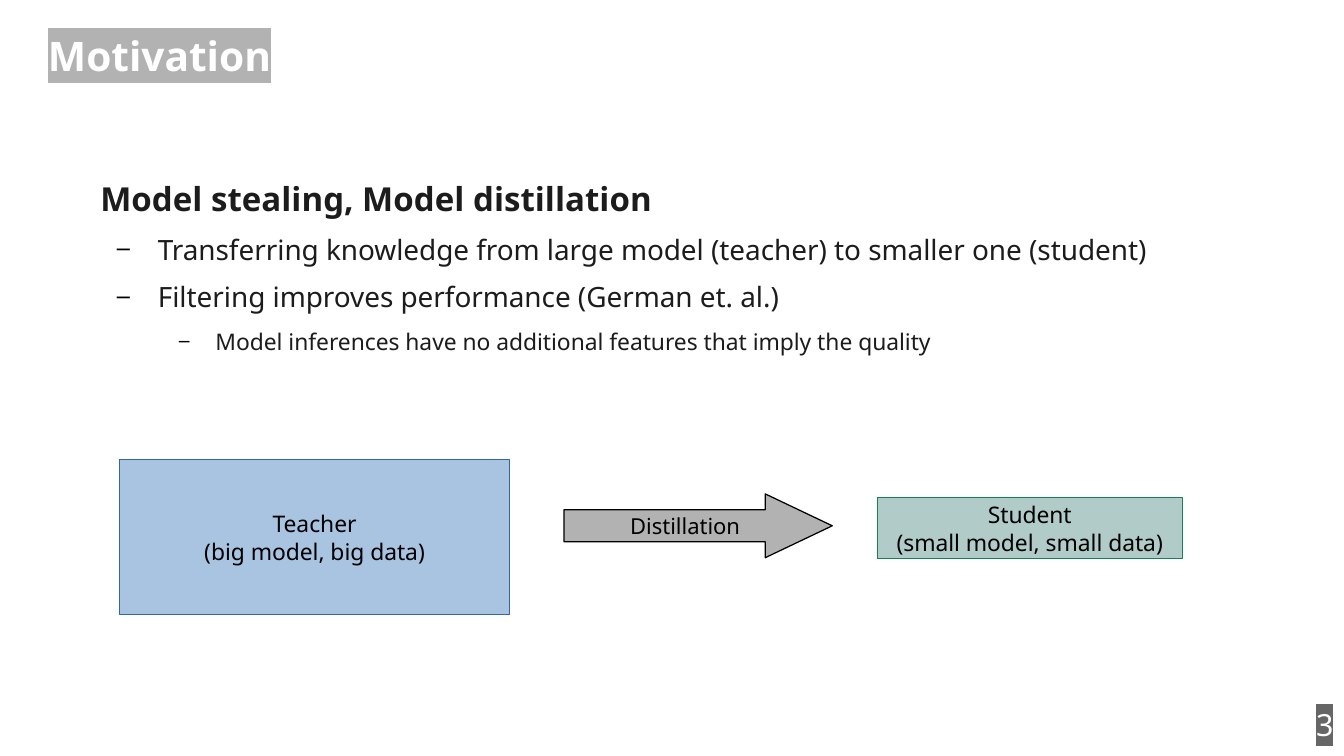
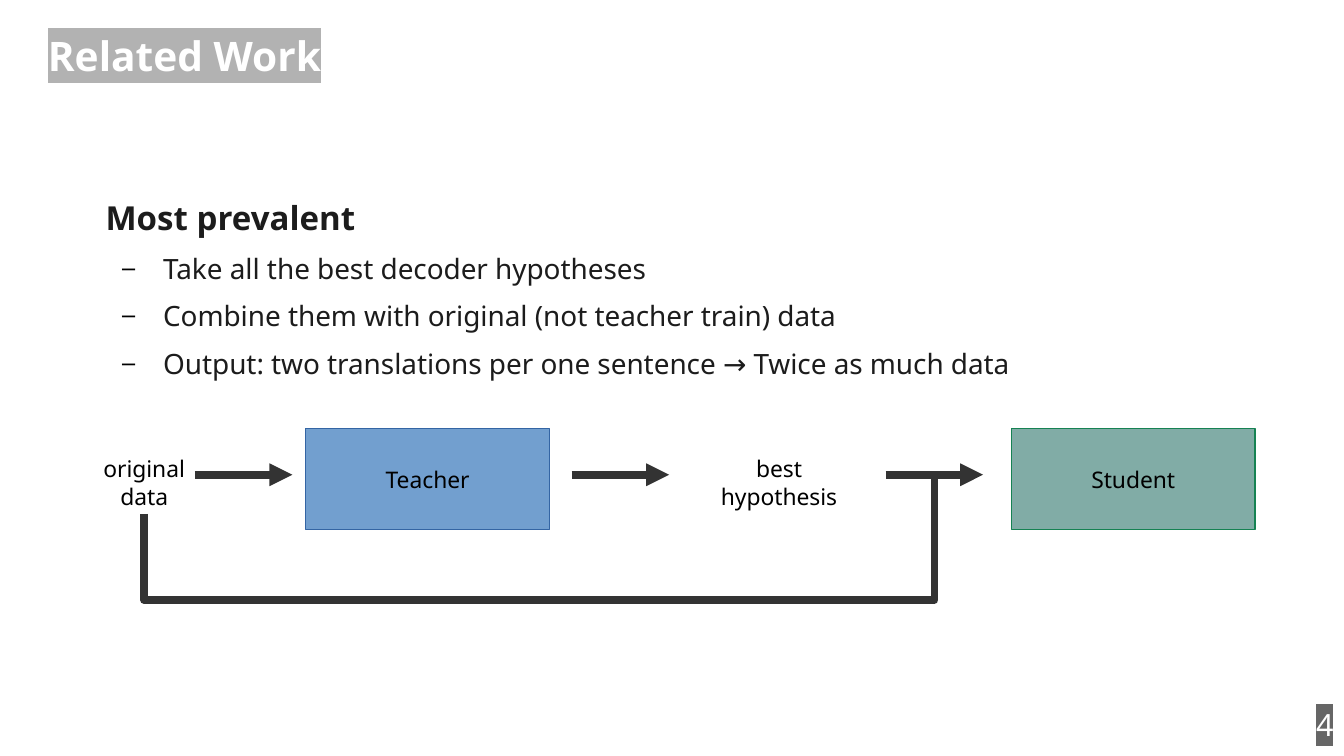
"""Build two slides on model distillation: motivation and related work."""
from dataclasses import dataclass
from typing import Any

from lxml.etree import SubElement
from pptx import Presentation
from pptx.dml.color import RGBColor
from pptx.enum.shapes import MSO_CONNECTOR, MSO_SHAPE
from pptx.enum.text import MSO_ANCHOR, PP_ALIGN
from pptx.oxml.ns import qn
from pptx.util import Cm, Pt

COLOURS = {
    "white": "FFFFFF", "black": "000000", "body": "1C1C1C", "line": "333333",
    "title_mark": "B2B2B2", "number_mark": "666666", "arrow": "B2B2B2",
    "teacher": "729FCF", "teacher_edge": "3465A4",
    "student": "81ACA6", "student_edge": "168253",
}
FONT = "Noto Sans"
FLOW_Y = 9.89
ARROW_LENGTH = 2.03
INSETS = (0.25, 0.13, 0.25, 0.13)
NO_INSETS = (0, 0, 0, 0)


@dataclass(frozen=True)
class Frame:
    """Position and size in centimetres."""
    left: float
    top: float
    width: float
    height: float

    def lengths(self) -> list[Cm]:
        return [Cm(value) for value in (self.left, self.top, self.width, self.height)]


@dataclass(frozen=True)
class Style:
    """Look of a piece of text."""
    size: float
    colour: str = "black"
    bold: bool = False
    mark: str | None = None


@dataclass(frozen=True)
class Level:
    """Indents, spacing and style of one outline level."""
    margin: float
    indent: float
    after: float
    style: Style


@dataclass(frozen=True)
class Node:
    """A filled rectangle with centred lines of text."""
    role: str
    frame: Frame
    lines: tuple[str, ...]
    alpha: int = 100


TITLE = Style(24, "white", True, "title_mark")
NUMBER = Style(18, "white", mark="number_mark")
LABEL = Style(13.5)
ARROW_LABEL = Style(13)
LEVELS = (
    Level(1.2, 0, 8.5, Style(19.5, "body", True)),
    Level(2.4, -0.9, 8.4, Style(16.5, "body")),
    Level(3.6, -0.8, 6.3, Style(13.5, "body")),
)


def rgb(name: str) -> RGBColor:
    """Return a named colour."""
    return RGBColor.from_string(COLOURS[name])


def assign(target: Any, values: dict[str, Any]) -> None:
    """Set several attributes on one object."""
    for name, value in values.items():
        setattr(target, name, value)


def add_span(para: Any, text: str, style: Style) -> None:
    """Add styled text to a paragraph."""
    span = para.add_run()
    span.text = text
    assign(span.font, {"name": FONT, "size": Pt(style.size), "bold": style.bold})
    span.font.color.rgb = rgb(style.colour)
    if style.mark:
        properties = span._r.get_or_add_rPr()
        highlight = SubElement(properties, qn("a:highlight"))
        SubElement(highlight, qn("a:srgbClr"), val=COLOURS[style.mark])
        properties.find(qn("a:solidFill")).addnext(highlight)


def set_frame(box: Any, insets: tuple[float, ...], anchor: Any, wrap: bool) -> None:
    """Format the text frame of a box."""
    sides = ("margin_left", "margin_top", "margin_right", "margin_bottom")
    values = {side: Cm(inset) for side, inset in zip(sides, insets)}
    assign(box.text_frame, {**values, "vertical_anchor": anchor, "word_wrap": wrap})


def add_text(page: Any, frame: Frame, text: str, style: Style,
             align: Any = PP_ALIGN.LEFT, insets: tuple[float, ...] = INSETS,
             anchor: Any = MSO_ANCHOR.TOP, wrap: bool = True) -> None:
    """Add a text box with one paragraph."""
    box = page.shapes.add_textbox(*frame.lengths())
    set_frame(box, insets, anchor, wrap)
    para = box.text_frame.paragraphs[0]
    para.alignment = align
    add_span(para, text, style)


def add_outline(page: Any, left: float, top: float, items: list[tuple[int, str]]) -> None:
    """Add the heading and its dashed points."""
    box = page.shapes.add_textbox(*Frame(left, top, 25.5, 9.75).lengths())
    set_frame(box, NO_INSETS, MSO_ANCHOR.TOP, True)
    for index, (depth, text) in enumerate(items):
        para = box.text_frame.add_paragraph() if index else box.text_frame.paragraphs[0]
        level = LEVELS[depth]
        properties = para._p.get_or_add_pPr()
        properties.set("marL", str(Cm(level.margin)))
        properties.set("indent", str(Cm(level.indent)))
        if depth:
            colour = SubElement(properties, qn("a:buClr"))
            SubElement(colour, qn("a:srgbClr"), val=COLOURS["black"])
            SubElement(properties, qn("a:buSzPct"), val="75000")
            SubElement(properties, qn("a:buFont"), typeface=FONT)
            SubElement(properties, qn("a:buChar"), char="−")
        assign(para, {"level": depth, "space_before": Pt(0), "space_after": Pt(level.after)})
        add_span(para, text, level.style)


def paint(shape: Any, fill: str, edge: str) -> None:
    """Give a shape a plain fill and a hairline edge."""
    shape.shadow.inherit = False
    shape.fill.solid()
    shape.fill.fore_color.rgb = rgb(fill)
    shape.line.color.rgb = rgb(edge)
    shape.line.width = Pt(0)


def add_node(page: Any, node: Node) -> None:
    """Draw a model as a rectangle."""
    box = page.shapes.add_shape(MSO_SHAPE.RECTANGLE, *node.frame.lengths())
    paint(box, node.role, f"{node.role}_edge")
    if node.alpha < 100:
        colour = box._element.spPr.find(qn("a:solidFill")).find(qn("a:srgbClr"))
        SubElement(colour, qn("a:alpha"), val=str(node.alpha * 1000))
    set_frame(box, INSETS, MSO_ANCHOR.MIDDLE, False)
    for index, line in enumerate(node.lines):
        para = box.text_frame.add_paragraph() if index else box.text_frame.paragraphs[0]
        para.alignment = PP_ALIGN.CENTER
        add_span(para, line, LABEL)


def add_line(page: Any, kind: Any, start: tuple[float, float],
             end: tuple[float, float], head: bool = False) -> Any:
    """Draw a thick connector, with an arrowhead on request."""
    points = [Cm(value) for value in (*start, *end)]
    line = page.shapes.add_connector(kind, *points)
    line.line.color.rgb = rgb("line")
    line.line.width = Pt(4.5)
    if head:
        SubElement(line.line._get_or_add_ln(), qn("a:tailEnd"), type="triangle")
    SubElement(line._element.spPr, qn("a:effectLst"))
    return line


def add_detour(page: Any, start: tuple[float, float], end: tuple[float, float],
               low: float) -> None:
    """Draw an elbow that runs down to a low level and up to its end."""
    middle_x, middle_y = (start[0] + end[0]) / 2, (start[1] + end[1]) / 2
    half_span, half_rise = (end[0] - start[0]) / 2, (start[1] - end[1]) / 2
    line = add_line(page, MSO_CONNECTOR.ELBOW,
                    (middle_x + half_rise, middle_y + half_span),
                    (middle_x - half_rise, middle_y - half_span))
    properties = line._element.spPr
    properties.find(qn("a:xfrm")).set("rot", "5400000")
    geometry = properties.find(qn("a:prstGeom"))
    guides = geometry.find(qn("a:avLst"))
    if guides is None:
        guides = SubElement(geometry, qn("a:avLst"))
    bend = round((start[1] - low) / (start[1] - end[1]) * 100000)
    SubElement(guides, qn("a:gd"), name="adj1", fmla=f"val {bend}")


def add_page(deck: Any, title: str, number: int) -> Any:
    """Add a blank page with its title and page number."""
    page = deck.slides.add_slide(deck.slide_layouts[6])
    page.background.fill.solid()
    page.background.fill.fore_color.rgb = rgb("white")
    add_text(page, Frame(24, 14.58, 4, 1.12), str(number), NUMBER,
             PP_ALIGN.RIGHT, (0.25, 0.13, 0.22, 0.13))
    add_text(page, Frame(1, 0, 26, 1.65), title, TITLE,
             insets=NO_INSETS, anchor=MSO_ANCHOR.BOTTOM)
    return page


def build_motivation(deck: Any) -> None:
    """Build the motivation page."""
    page = add_page(deck, "Motivation", 3)
    add_node(page, Node("teacher", Frame(2.49, 9.58, 8.13, 3.23),
                        ("Teacher", "(big model, big data)"), 61))
    add_node(page, Node("student", Frame(18.28, 10.37, 6.35, 1.27),
                        ("Student", "(small model, small data)"), 61))
    arrow = page.shapes.add_shape(MSO_SHAPE.RIGHT_ARROW,
                                  *Frame(11.75, 10.29, 5.59, 1.33).lengths())
    paint(arrow, "arrow", "black")
    arrow.adjustments[0], arrow.adjustments[1] = 0.5, 1.05
    add_text(page, Frame(12.88, 10.54, 2.92, 0.86), "Distillation", ARROW_LABEL, wrap=False)
    add_outline(page, 0.89, 3.71, [
        (0, "Model stealing, Model distillation"),
        (1, "Transferring knowledge from large model (teacher) to smaller one (student)"),
        (1, "Filtering improves performance (German et. al.)"),
        (2, "Model inferences have no additional features that imply the quality"),
    ])


def build_related_work(deck: Any) -> None:
    """Build the related work page."""
    page = add_page(deck, "Related Work", 4)
    add_outline(page, 1, 4.11, [
        (0, "Most prevalent"),
        (1, "Take all the best decoder hypotheses"),
        (1, "Combine them with original (not teacher train) data"),
        (1, "Output: two translations per one sentence → Twice as much data"),
    ])
    for role, left in (("teacher", 6.37), ("student", 21.07)):
        add_node(page, Node(role, Frame(left, 8.93, 5.08, 2.1), (role.capitalize(),)))
    for text, left, width in (("original data", 1.8, 2.41), ("best hypothesis", 14.68, 3.1)):
        add_text(page, Frame(left, 9.35, width, 1.55), text, LABEL, PP_ALIGN.CENTER)
    for left in (4.06, 11.91, 18.45):
        add_line(page, MSO_CONNECTOR.STRAIGHT, (left, FLOW_Y),
                 (left + ARROW_LENGTH, FLOW_Y), head=True)
    add_detour(page, (3, 10.71), (19.47, FLOW_Y), 12.5)


def main() -> None:
    """Build and save the deck."""
    deck = Presentation()
    assign(deck, {"slide_width": Cm(28), "slide_height": Cm(15.75)})
    build_motivation(deck)
    build_related_work(deck)
    deck.save("out.pptx")


if __name__ == "__main__":
    main()
